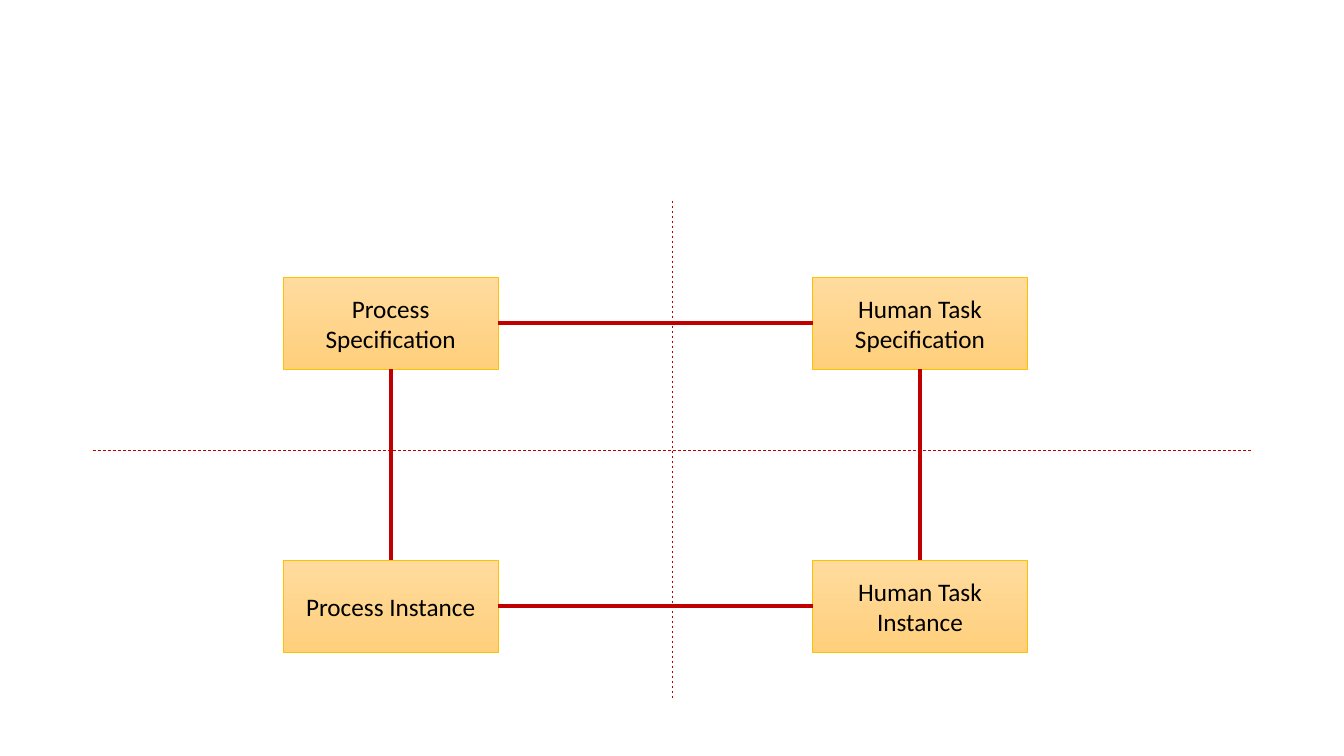
from lxml import etree
from pptx import Presentation
from pptx import util as u
from pptx.dml.color import RGBColor
from pptx.enum import dml, shapes, text
from pptx.oxml.ns import qn

COLORS = {"link": "C00000", "border": "FFC000", "top": "FFDB9E", "bottom": "FFD07C", "text": "000000"}
BOX_WIDTH, BOX_HEIGHT = 2.13, 0.91
COLUMNS = {"Process": 2.81, "Human Task": 8.06}
ROWS = {"Specification": 2.75, "Instance": 5.56}
BOTTOM, LEFT, RIGHT, TOP = 2, 1, 3, 0


def color(name):
    """Return the named colour."""
    return RGBColor.from_string(COLORS[name])


def add_line(slide, start, end, width):
    """Draw a straight line between two points given in inches."""
    points = [u.Inches(value) for value in (*start, *end)]
    connector = slide.shapes.add_connector(shapes.MSO_CONNECTOR.STRAIGHT, *points)
    connector.line.color.rgb = color("link")
    connector.line.width = u.Pt(width)
    etree.SubElement(connector._element.spPr, qn("a:effectLst"))
    return connector


def add_divider(slide, start, end):
    """Draw a thin dashed line between quadrants."""
    add_line(slide, start, end, 0.5).line.dash_style = dml.MSO_LINE.DASH


def add_box(slide, label, left, top):
    """Draw a labelled box with a vertical gradient."""
    bounds = [u.Inches(value) for value in (left, top, BOX_WIDTH, BOX_HEIGHT)]
    shape = slide.shapes.add_shape(shapes.MSO_SHAPE.RECTANGLE, *bounds)
    shape.shadow.inherit = False
    shape.fill.gradient()
    shape.fill.gradient_angle = 270
    for stop, name in zip(shape.fill.gradient_stops, ("top", "bottom")):
        stop.color.rgb = color(name)
    shape.line.color.rgb = color("border")
    shape.line.width = u.Pt(0.5)
    frame = shape.text_frame
    frame.text = label
    frame.word_wrap = True
    frame.vertical_anchor = text.MSO_ANCHOR.MIDDLE
    paragraph = frame.paragraphs[0]
    paragraph.alignment = text.PP_ALIGN.CENTER
    font = paragraph.runs[0].font
    font.name, font.size = "Calibri", u.Pt(18)
    font.color.rgb = color("text")
    return shape


def link_boxes(slide, first, first_side, second, second_side):
    """Join two boxes with a thick line."""
    connector = add_line(slide, (0, 0), (0, 0), 3)
    connector.begin_connect(first, first_side)
    connector.end_connect(second, second_side)


def main():
    """Build the slide and save it."""
    presentation = Presentation()
    presentation.slide_width, presentation.slide_height = u.Inches(13.33), u.Inches(7.5)
    slide = presentation.slides.add_slide(presentation.slide_layouts[6])
    add_divider(slide, (0.92, 4.47), (12.42, 4.47))
    add_divider(slide, (6.67, 1.99), (6.67, 6.94))
    boxes = {
        (subject, level): add_box(slide, f"{subject} {level}", left, top)
        for subject, left in COLUMNS.items()
        for level, top in ROWS.items()
    }
    for level in ROWS:
        link_boxes(slide, boxes["Process", level], RIGHT, boxes["Human Task", level], LEFT)
    for subject in COLUMNS:
        link_boxes(slide, boxes[subject, "Specification"], BOTTOM, boxes[subject, "Instance"], TOP)
    presentation.save("out.pptx")


if __name__ == "__main__":
    main()
